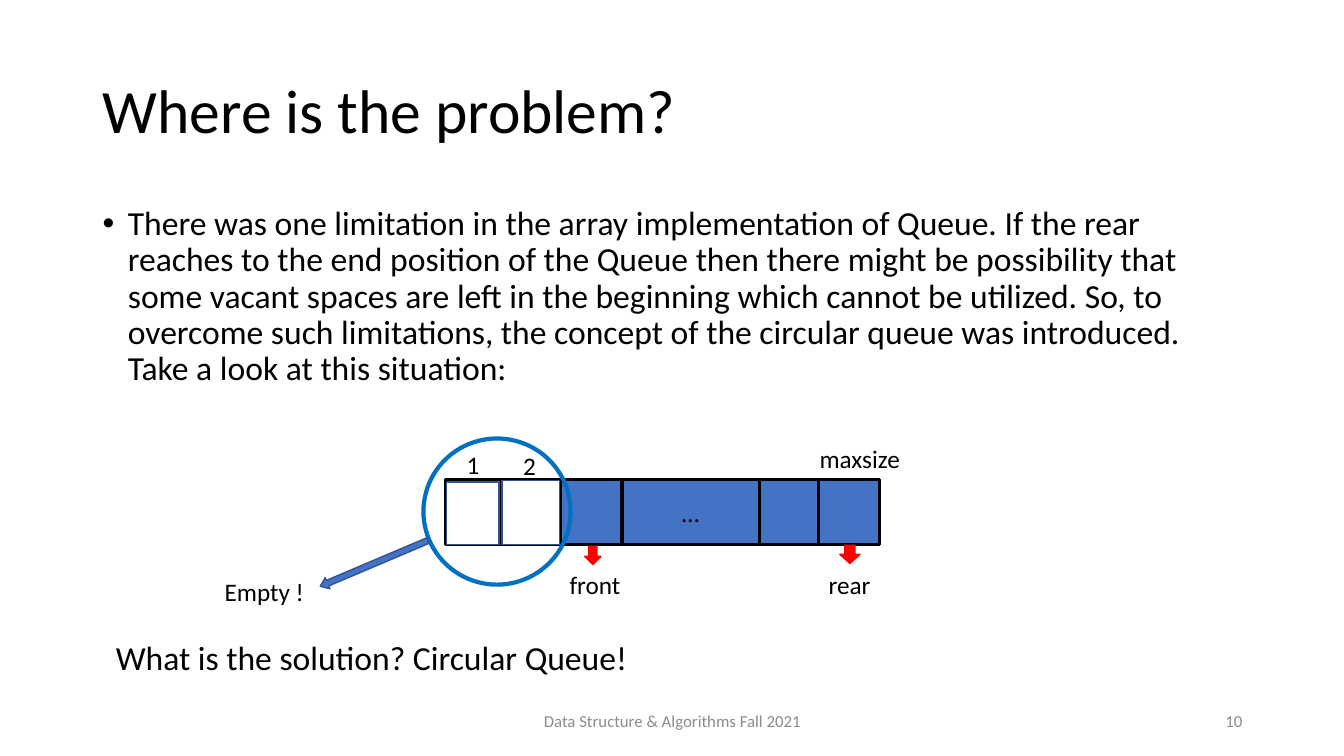
import pptx
import pptx.util
import pptx.dml.color
import pptx.enum.shapes
import pptx.enum.text
from lxml import etree

Inches, Pt = pptx.util.Inches, pptx.util.Pt
SHAPE = pptx.enum.shapes.MSO_SHAPE
ALIGN = pptx.enum.text.PP_ALIGN
ANCHOR = pptx.enum.text.MSO_ANCHOR
FONT = "Calibri"
COLORS = {"ink": "000000", "muted": "8C8C8C", "queue": "4472C4", "edge": "325491",
          "vacant": "FFFFFF", "pointer": "FF0000", "ring": "0070C0"}

title = "Where is the problem?"
limitation = ("There was one limitation in the array implementation of Queue. If the rear "
              "reaches to the end position of the Queue then there might be possibility that "
              "some vacant spaces are left in the beginning which cannot be utilized. So, to "
              "overcome such limitations, the concept of the circular queue was introduced. "
              "Take a look at this situation:")
footer = "Data Structure & Algorithms Fall 2021"
page_number = "10"
solution = "What is the solution? Circular Queue!"
labels = [("1", 4.53, 4.41, 0.33), ("2", 5.09, 4.42, 0.33), ("maxsize", 8.03, 4.35, 1.01),
          ("front", 5.55, 5.6, 0.71), ("rear", 8.12, 5.6, 0.62), ("Empty !", 2.13, 5.67, 1)]
LABEL_HEIGHT = 0.4

queue_box = (4.42, 4.76, 4.3, 0.64)
skipped = "…"
dividers = [4.97, 5.56, 6.17, 7.53, 8.12]
skipped_cell = (dividers[2], dividers[3])
vacant_cells = [(4.43, 4.78, 0.52, 0.62), (4.98, 4.77, 0.57, 0.63)]
pointers = [(5.8, 5.42, 0.16, 0.18), (8.33, 5.41, 0.2, 0.18)]
ring_box = (4.2, 4.35, 1.46, 1.45)
empty_arrow_box = (3.13, 5.53, 1.16, 0.12)

deck = pptx.Presentation()
deck.slide_width, deck.slide_height = Inches(13.33), Inches(7.5)
slide = deck.slides.add_slide(deck.slide_layouts[6])


def rgb(color):
    return pptx.dml.color.RGBColor.from_string(COLORS[color])


def apply(target, values):
    for attribute, value in values.items():
        setattr(target, attribute, value)


def write(part, text, size, color="ink", frame=None, paragraph=None):
    apply(part.text_frame, frame or {})
    line = part.text_frame.paragraphs[0]
    apply(line, paragraph or {})
    run = line.add_run()
    run.text = text
    apply(run.font, {"name": FONT, "size": Pt(size)})
    run.font.color.rgb = rgb(color)
    return line


def add_text(box, text, size, color="ink", frame=None, paragraph=None):
    part = slide.shapes.add_textbox(*map(Inches, box))
    return write(part, text, size, color, {"word_wrap": True, **(frame or {})}, paragraph)


def add_shape(kind, box, fill, edge, width):
    part = slide.shapes.add_shape(kind, *map(Inches, box))
    part.shadow.inherit = False
    if fill:
        part.fill.solid()
        part.fill.fore_color.rgb = rgb(fill)
    else:
        part.fill.background()
    part.line.color.rgb = rgb(edge)
    part.line.width = Pt(width)
    return part


def add_bullet(paragraph, indent):
    properties = paragraph._p.get_or_add_pPr()
    properties.set("marL", str(Inches(indent)))
    properties.set("indent", str(-Inches(indent)))
    for tag, attribute, value in (("a:buFont", "typeface", "Arial"), ("a:buChar", "char", "•")):
        etree.SubElement(properties, pptx.oxml.ns.qn(tag)).set(attribute, value)


middle = {"vertical_anchor": ANCHOR.MIDDLE}
unwrapped = {"word_wrap": False, "auto_size": pptx.enum.text.MSO_AUTO_SIZE.SHAPE_TO_FIT_TEXT}

add_text((0.92, 0.4, 11.5, 1.45), title, 44, frame=middle, paragraph={"line_spacing": 0.9})
body = add_text((0.92, 2, 11.5, 2.1), limitation, 24,
                paragraph={"line_spacing": 0.9, "space_before": Pt(10)})
add_bullet(body, 0.25)
add_text((4.42, 6.95, 4.5, 0.4), footer, 12, "muted", middle, {"alignment": ALIGN.CENTER})
add_text((9.42, 6.95, 3, 0.4), page_number, 12, "muted", middle, {"alignment": ALIGN.RIGHT})

left, top, width, height = queue_box
queue = add_shape(SHAPE.RECTANGLE, queue_box, "queue", "ink", 2.25)
write(queue, skipped, 18,
      frame={**middle, "margin_left": Inches(skipped_cell[0] - left),
             "margin_right": Inches(left + width - skipped_cell[1])},
      paragraph={"alignment": ALIGN.CENTER})
for x in dividers:
    divider = slide.shapes.add_connector(pptx.enum.shapes.MSO_CONNECTOR.STRAIGHT, Inches(x),
                                         Inches(top), Inches(x), Inches(top + height))
    divider.line.color.rgb = rgb("ink")
    divider.line.width = Pt(2.25)
    etree.SubElement(divider._element.spPr, pptx.oxml.ns.qn("a:effectLst"))

for cell in vacant_cells:
    add_shape(SHAPE.RECTANGLE, cell, "vacant", "edge", 1)
for text, x, y, label_width in labels:
    add_text((x, y, label_width, LABEL_HEIGHT), text, 18, frame=unwrapped)
for pointer in pointers:
    add_shape(SHAPE.DOWN_ARROW, pointer, "pointer", "pointer", 1)
add_shape(SHAPE.OVAL, ring_box, None, "ring", 3)
empty_arrow = add_shape(SHAPE.LEFT_ARROW, empty_arrow_box, "queue", "edge", 1)
empty_arrow.rotation = 337
empty_arrow.adjustments[1] = 0.66
add_text((1.05, 6.27, 5.33, 0.5), solution, 24, frame=unwrapped)

deck.save("out.pptx")
